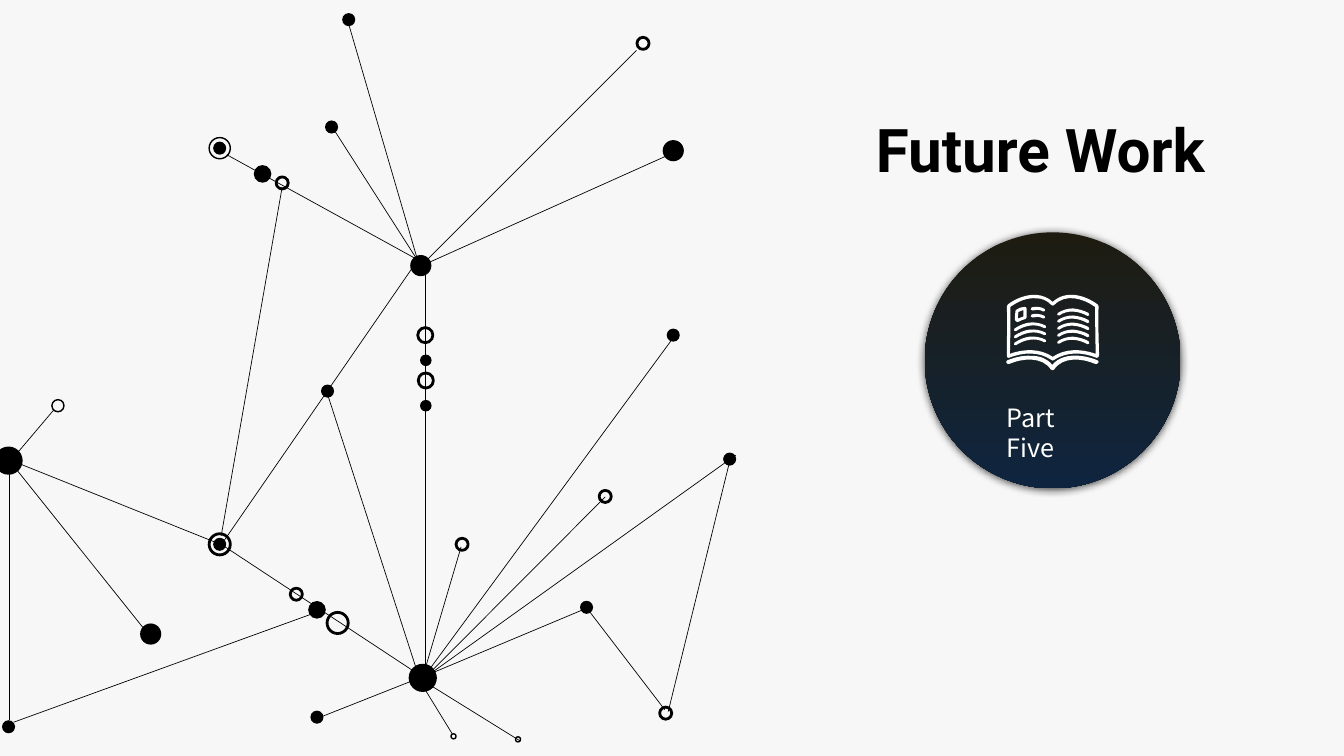
from dataclasses import dataclass

from lxml import etree
from pptx import Presentation
from pptx import util as u
from pptx.dml.color import RGBColor
from pptx.enum import shapes, text
from pptx.oxml import ns


@dataclass(frozen=True)
class Theme:
    ground: str = "F7F7F7"
    ink: str = "000000"
    light: str = "FFFFFF"
    badge_top: str = "1E1C11"
    badge_bottom: str = "0F253F"
    title_font: str = "Roboto"
    title_size: int = 86
    label_font: str = "Noto Sans CJK SC"
    label_size: int = 36


THEME = Theme()
SLIDE_SIZE = (26.67, 15)

DOTS = {
    0.23: [(8.45, 7.15), (8.45, 8.05)],
    0.26: [(4.36, 10.8), (0.17, 14.42), (4.36, 2.94), (6.92, 0.39), (6.58, 2.52),
           (6.29, 14.23), (11.64, 12.05), (13.36, 6.65), (14.48, 9.11), (6.5, 7.76)],
    0.35: [(6.29, 12.1), (5.21, 3.45)],
    0.42: [(2.99, 12.58), (8.35, 5.27), (13.36, 2.99)],
    0.56: [(0.17, 9.14), (8.39, 13.45)],
}

RINGS = {
    (0.1, 2): [(9, 14.61), (10.28, 14.67)],
    (0.24, 2): [(1.15, 8.05)],
    (0.24, 4): [(12.76, 0.86), (5.6, 3.63), (12.01, 9.85), (9.17, 10.8),
                (5.88, 11.79), (13.21, 14.15)],
    (0.3, 4): [(8.44, 6.65), (8.45, 7.55)],
    (0.42, 2): [(4.36, 2.94)],
    (0.42, 4): [(4.36, 10.8), (6.7, 12.36)],
}

LINKS = [
    (2.9, 12.53, 0.33, 9.32), (0.18, 14.28, 0.18, 9.36), (0.3, 9.04, 1.07, 8.13),
    (8.2, 5.29, 4.39, 10.81), (4.35, 10.79, 0.16, 9.11), (8.2, 13.31, 4.39, 10.8),
    (11.73, 12.03, 8.32, 13.46), (9.15, 10.85, 8.44, 13.26), (13.31, 6.77, 8.34, 13.53),
    (12.01, 9.86, 8.54, 13.34), (14.6, 9.03, 8.34, 13.51), (6.46, 7.7, 8.3, 13.39),
    (6.28, 14.26, 8.48, 13.39), (8.44, 5.34, 8.44, 13.53), (11.58, 11.98, 13.19, 14.08),
    (13.26, 14.12, 14.5, 9.07), (0.27, 14.33, 6.33, 12.13), (13.3, 3.06, 8.35, 5.28),
    (12.63, 1, 8.36, 5.27), (6.65, 2.61, 8.36, 5.28), (6.92, 0.48, 8.36, 5.41),
    (4.5, 3.07, 8.5, 5.27), (5.6, 3.71, 4.39, 10.63), (8.44, 13.69, 8.98, 14.57),
    (8.53, 13.59, 10.32, 14.7),
]

BOOK_COVER = [
    (20.56, 5.85), (20.68, 5.86), (20.79, 5.9), (20.89, 5.99), (21.15, 5.75), (21.52, 5.85),
    (21.78, 6.04), (21.8, 6.05), (21.8, 6.06), (21.8, 6.08), (21.79, 6.4), (21.8, 6.72),
    (21.81, 7.04), (21.81, 7.08), (21.79, 7.11), (21.76, 7.1), (21.49, 6.99), (21.18, 6.97),
    (20.92, 7.14), (20.91, 7.16), (20.87, 7.16), (20.86, 7.14), (20.61, 6.97), (20.3, 6.99),
    (20.02, 7.1), (19.99, 7.11), (19.97, 7.08), (19.98, 7.04), (19.98, 6.72), (19.99, 6.4),
    (19.98, 6.08), (19.98, 6.06), (19.99, 6.05), (20, 6.04), (20.16, 5.92), (20.37, 5.84),
    (20.56, 5.85)]
BOOK_PAGES = [
    (20.57, 5.92), (20.39, 5.9), (20.2, 5.98), (20.05, 6.09), (20.05, 6.4), (20.05, 6.71),
    (20.04, 7.02), (20.32, 6.92), (20.64, 6.91), (20.89, 7.08), (21.14, 6.91), (21.46, 6.92),
    (21.74, 7.02), (21.74, 6.71), (21.73, 6.4), (21.73, 6.09), (21.49, 5.92), (21.15, 5.82),
    (20.92, 6.05), (20.91, 6.07), (20.88, 6.07), (20.86, 6.05), (20.78, 5.96), (20.67, 5.92),
    (20.57, 5.92)]
BOOK_BASE = [
    (20.46, 7.06), (20.63, 7.06), (20.78, 7.11), (20.88, 7.24), (21.09, 6.99), (21.49, 7.03),
    (21.78, 7.15), (21.83, 7.17), (21.78, 7.24), (21.73, 7.22), (21.48, 7.11), (21.09, 7.07),
    (20.92, 7.33), (20.91, 7.35), (20.87, 7.35), (20.85, 7.33), (20.68, 7.07), (20.29, 7.11),
    (20.03, 7.22), (19.98, 7.24), (19.94, 7.17), (19.99, 7.15), (20.13, 7.09), (20.3, 7.05),
    (20.46, 7.06)]
FRAME_OUTER = [
    (20.33, 6.09), (20.35, 6.09), (20.37, 6.1), (20.37, 6.12), (20.37, 6.18), (20.37, 6.24),
    (20.37, 6.3), (20.37, 6.31), (20.37, 6.33), (20.35, 6.33), (20.3, 6.34), (20.25, 6.36),
    (20.2, 6.39), (20.18, 6.4), (20.14, 6.37), (20.14, 6.35), (20.14, 6.29), (20.14, 6.24),
    (20.15, 6.18), (20.15, 6.16), (20.15, 6.15), (20.16, 6.15), (20.21, 6.11), (20.27, 6.09),
    (20.33, 6.09)]
FRAME_INNER = [
    (20.31, 6.15), (20.27, 6.16), (20.24, 6.17), (20.21, 6.19), (20.2, 6.23), (20.2, 6.28),
    (20.2, 6.32), (20.24, 6.3), (20.27, 6.29), (20.31, 6.28)]
LEFT_TEXT = [
    (20.43, 6.4), (20.54, 6.39), (20.65, 6.41), (20.75, 6.46), (20.78, 6.48), (20.75, 6.53),
    (20.72, 6.51), (20.54, 6.41), (20.33, 6.46), (20.16, 6.57), (20.13, 6.59), (20.1, 6.54),
    (20.13, 6.52), (20.22, 6.46), (20.33, 6.41), (20.43, 6.4)]
RIGHT_TEXT = [
    (21.29, 6.12), (21.4, 6.13), (21.51, 6.16), (21.6, 6.21), (21.64, 6.23), (21.61, 6.29),
    (21.58, 6.27), (21.4, 6.17), (21.19, 6.14), (21.02, 6.26), (20.99, 6.28), (20.95, 6.23),
    (20.99, 6.21), (21.08, 6.15), (21.19, 6.12), (21.29, 6.12)]
SHORT_TEXT = [
    (20.6, 6.09), (20.65, 6.09), (20.69, 6.11), (20.73, 6.13), (20.76, 6.15), (20.73, 6.2),
    (20.7, 6.18), (20.63, 6.14), (20.56, 6.14), (20.49, 6.16), (20.45, 6.17), (20.44, 6.12),
    (20.47, 6.1), (20.52, 6.09), (20.56, 6.08), (20.6, 6.09)]
TEXT_PITCH = 0.14


def inch(value):
    return u.Cm(value * 2.54)


def colour(code):
    return RGBColor.from_string(code)


def paint(shape, code):
    shape.shadow.inherit = False
    shape.fill.solid()
    shape.fill.fore_color.rgb = colour(code)
    shape.line.fill.background()


def add_circle(page, center, diameter):
    left, top = (inch(c - diameter / 2) for c in center)
    return page.shapes.add_shape(shapes.MSO_SHAPE.OVAL, left, top, inch(diameter), inch(diameter))


def add_ring(page, center, diameter, weight):
    ring = add_circle(page, center, diameter)
    ring.shadow.inherit = False
    ring.fill.background()
    ring.line.color.rgb = colour(THEME.ink)
    ring.line.width = u.Pt(weight)


def add_link(page, ends):
    link = page.shapes.add_connector(shapes.MSO_CONNECTOR.STRAIGHT, *map(inch, ends))
    link.line.color.rgb = colour(THEME.ink)
    link.line.width = u.Pt(1)
    etree.SubElement(link._element.spPr, ns.qn("a:effectLst"))


def add_badge(page, center, diameter):
    badge = add_circle(page, center, diameter)
    badge.shadow.inherit = False
    badge.fill.gradient()
    badge.fill.gradient_angle = 270
    for stop, code in zip(badge.fill.gradient_stops, (THEME.badge_top, THEME.badge_bottom)):
        stop.color.rgb = colour(code)
    badge.line.fill.background()
    effects = badge._element.spPr.find(ns.qn("a:effectLst"))
    shadow = etree.SubElement(effects, ns.qn("a:outerShdw"), blurRad=str(u.Pt(13)),
                              dist=str(u.Pt(2)), dir="5400000", algn="ctr", rotWithShape="0")
    tone = etree.SubElement(shadow, ns.qn("a:srgbClr"), val=THEME.ink)
    etree.SubElement(tone, ns.qn("a:alpha"), val="75000")


def place(curve, drop=0):
    return [(inch(x), inch(y + drop)) for x, y in curve]


def bend(shape):
    segments = list(shape._element.iter(ns.qn("a:lnTo")))
    for first, second, third in zip(*[iter(segments)] * 3):
        cubic = etree.Element(ns.qn("a:cubicBezTo"))
        first.addprevious(cubic)
        for segment in (first, second, third):
            cubic.append(segment[0])
            segment.getparent().remove(segment)


def add_book(page):
    outlines = [place(c) for c in (BOOK_COVER, BOOK_PAGES, BOOK_BASE, FRAME_OUTER, FRAME_INNER)]
    for curve, count in ((LEFT_TEXT, 3), (RIGHT_TEXT, 5), (SHORT_TEXT, 2)):
        outlines += [place(curve, row * TEXT_PITCH) for row in range(count)]
    builder = page.shapes.build_freeform(*outlines[0][0])
    for number, outline in enumerate(outlines):
        if number:
            builder.move_to(*outline[0])
        builder.add_line_segments(outline[1:], close=True)
    book = builder.convert_to_shape()
    bend(book)
    paint(book, THEME.light)


def add_text(page, area, words, font, size, code, margins, bold=False):
    box = page.shapes.add_textbox(*map(inch, area))
    frame = box.text_frame
    frame.margin_left = frame.margin_right = inch(margins[0])
    frame.margin_top = frame.margin_bottom = inch(margins[1])
    para = frame.paragraphs[0]
    span = para.add_run()
    span.text = words
    span.font.name, span.font.size, span.font.bold = font, u.Pt(size), bold
    span.font.color.rgb = colour(code)
    return frame, para


def add_title(page):
    frame, para = add_text(page, (17.32, 1.45, 7.14, 1.54), "Future Work", THEME.title_font,
                           THEME.title_size, THEME.ink, (0.06, 0.06), bold=True)
    frame.word_wrap = False
    frame.auto_size = text.MSO_AUTO_SIZE.SHAPE_TO_FIT_TEXT
    frame.vertical_anchor = text.MSO_ANCHOR.MIDDLE
    para.line_spacing = 2.0


def add_label(page):
    frame, para = add_text(page, (19.94, 7.93, 1.02, 1.3), "Part Five", THEME.label_font,
                           THEME.label_size, THEME.light, (0, 0.05))
    frame.word_wrap = True
    para.alignment = text.PP_ALIGN.CENTER


def main():
    deck = Presentation()
    deck.slide_width, deck.slide_height = map(inch, SLIDE_SIZE)
    page = deck.slides.add_slide(deck.slide_layouts[6])
    ground = page.shapes.add_shape(shapes.MSO_SHAPE.RECTANGLE, 0, 0, *map(inch, SLIDE_SIZE))
    paint(ground, THEME.ground)
    for ends in LINKS:
        add_link(page, ends)
    for diameter, centers in DOTS.items():
        for center in centers:
            paint(add_circle(page, center, diameter), THEME.ink)
    for (diameter, weight), centers in RINGS.items():
        for center in centers:
            add_ring(page, center, diameter, weight)
    add_badge(page, (20.89, 7.15), 5.08)
    add_book(page)
    add_label(page)
    add_title(page)
    deck.save("out.pptx")


if __name__ == "__main__":
    main()
